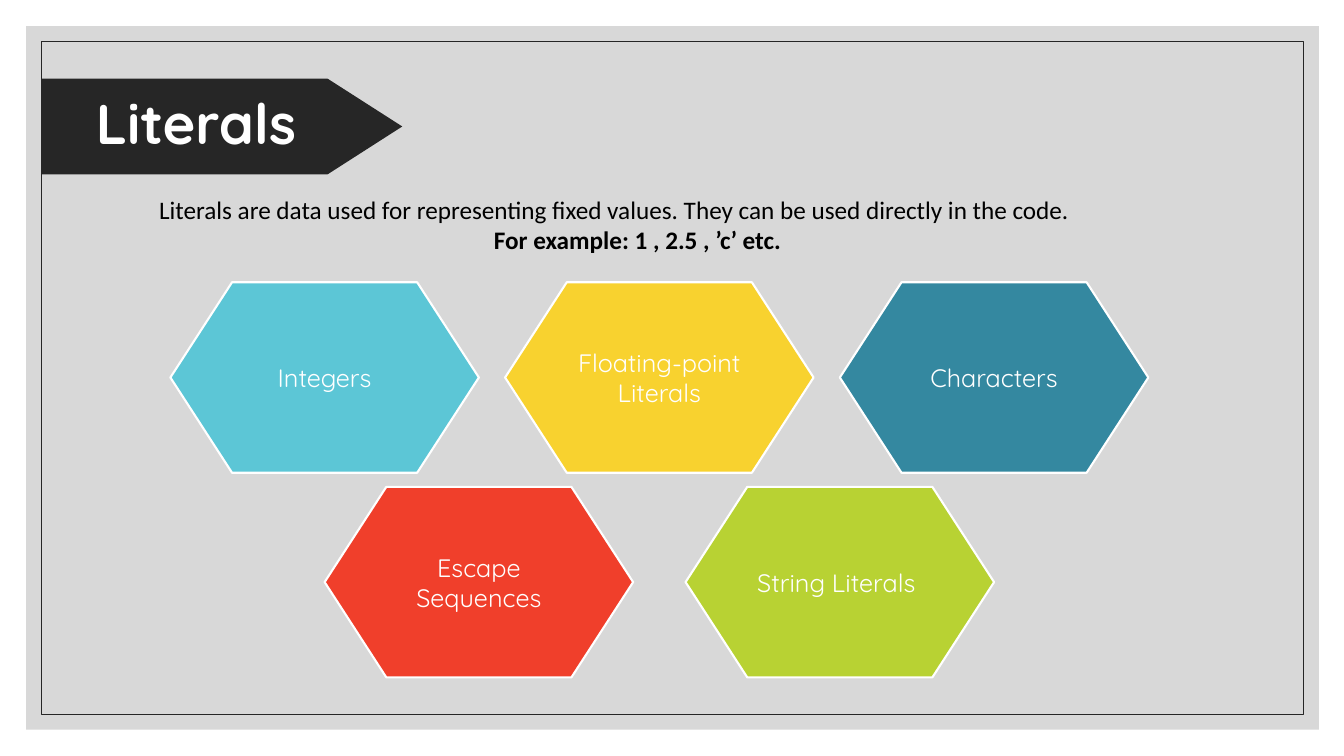
from dataclasses import dataclass

from lxml import etree
from pptx import Presentation
from pptx.dml.color import RGBColor
from pptx.enum.shapes import MSO_SHAPE
from pptx.enum.text import MSO_ANCHOR, PP_ALIGN
from pptx.oxml.ns import qn
from pptx.util import Pt

PX = 9144  # EMU, so 100 px to the inch
RECT = MSO_SHAPE.RECTANGLE
PREP = MSO_SHAPE.FLOWCHART_PREPARATION
ARROW = MSO_SHAPE.PENTAGON
MIDDLE, TOP = MSO_ANCHOR.MIDDLE, MSO_ANCHOR.TOP
LEFT, CENTER = PP_ALIGN.LEFT, PP_ALIGN.CENTER


@dataclass(frozen=True)
class Theme:
    white: str = "FFFFFF"
    black: str = "000000"
    dark: str = "262626"
    panel: str = "BFBFBF"
    cyan: str = "5CC6D6"
    yellow: str = "F8D22F"
    teal: str = "3488A0"
    red: str = "F03F2B"
    lime: str = "B8D233"
    head: str = "Quicksand"
    body: str = "Calibri"
    big: int = 40
    text: int = 18


THEME = Theme()
HEX_W, HEX_H = 306, 189
# left edge, top edge, step, then (label, fill, alignment) for each cell
ROWS = [
    (169, 280, 332, [("Integers", THEME.cyan, CENTER),
                     ("Floating-point Literals", THEME.yellow, CENTER),
                     ("Characters", THEME.teal, CENTER)]),
    (322, 483, 358, [("Escape Sequences", THEME.red, CENTER),
                     ("String Literals", THEME.lime, LEFT)]),
]


def rgb(code):
    return RGBColor.from_string(code)


def apply(item, values):
    for name, value in values.items():
        setattr(item, name, value)


def place(shape, box):
    names = ("left", "top", "width", "height")
    apply(shape, {n: v * PX for n, v in zip(names, box)})


def write(para, text, color, size, face, bold=False, align=LEFT):
    para.text = text
    para.alignment = align
    apply(para.font, {"name": face, "size": Pt(size), "bold": bold})
    para.font.color.rgb = rgb(color)


def add_block(slide, kind, box, fill=None, line=None, width=0.5):
    shape = slide.shapes.add_shape(kind, *(v * PX for v in box))
    shape.shadow.inherit = False
    if fill:
        shape.fill.solid()
        shape.fill.fore_color.rgb = rgb(fill)
    else:
        shape.fill.background()
    if line:
        shape.line.color.rgb = rgb(line)
        shape.line.width = Pt(width)
    else:
        shape.line.fill.background()
    return shape


def fade(shape, percent):
    """Set the opacity of a solid fill."""
    color = shape.fill._xPr.find(qn("a:solidFill"))[0]
    etree.SubElement(color, qn("a:alpha")).set("val", str(percent * 1000))


def add_frame(slide):
    fade(add_block(slide, RECT, (26, 26, 1282, 698), THEME.panel), 60)
    add_block(slide, RECT, (41, 41, 1252, 668), line=THEME.dark)


def add_cells(slide):
    for left, top, step, cells in ROWS:
        for i, (label, fill, align) in enumerate(cells):
            box = (left + i * step, top, HEX_W, HEX_H)
            cell = add_block(slide, PREP, box, fill, THEME.white, 1.5)
            apply(cell.text_frame,
                  {"word_wrap": True, "vertical_anchor": MIDDLE})
            write(cell.text_frame.paragraphs[0], label, THEME.white,
                  THEME.text, THEME.head, align=align)


def add_title(slide):
    banner = add_block(slide, ARROW, (41, 78, 358, 95), THEME.dark)
    banner.adjustments[0] = 0.78
    title = slide.shapes.title
    place(title, (85, 78, 1100, 95))
    title.text_frame.vertical_anchor = MIDDLE
    para = title.text_frame.paragraphs[0]
    write(para, "Literals", THEME.white, THEME.big, THEME.head, True)
    para.line_spacing = 0.9
    banner._element.addnext(title._element)  # bring in front of the banner


def add_intro(slide):
    box = slide.shapes.add_textbox(*(v * PX for v in (148, 188, 1100, 71)))
    frame = box.text_frame
    apply(frame, {"word_wrap": True, "vertical_anchor": TOP})
    style = (THEME.black, THEME.text, THEME.body)
    write(frame.paragraphs[0],
          "Literals are data used for representing fixed values. "
          "They can be used directly in the code.", *style)
    sample = frame.add_paragraph()
    sample._p.get_or_add_pPr().set("marL", str(332 * PX))
    write(sample, "For example: 1 , 2.5 , ’c’ etc.", *style, bold=True)


def main():
    deck = Presentation()
    apply(deck, {"slide_width": 1333 * PX, "slide_height": 750 * PX})
    slide = deck.slides.add_slide(deck.slide_layouts[5])
    add_frame(slide)
    add_cells(slide)
    add_title(slide)
    add_intro(slide)
    deck.save("out.pptx")


if __name__ == "__main__":
    main()
